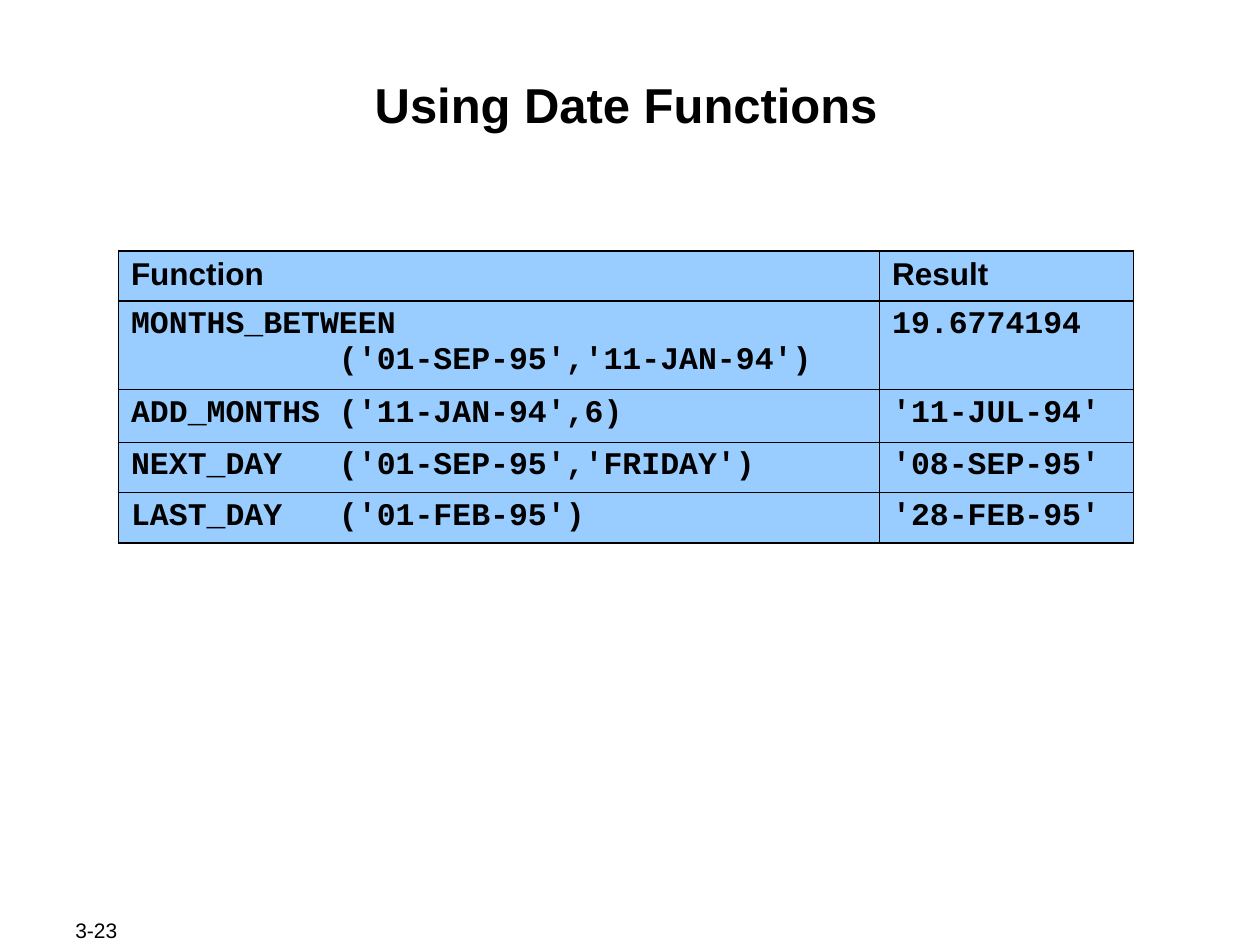
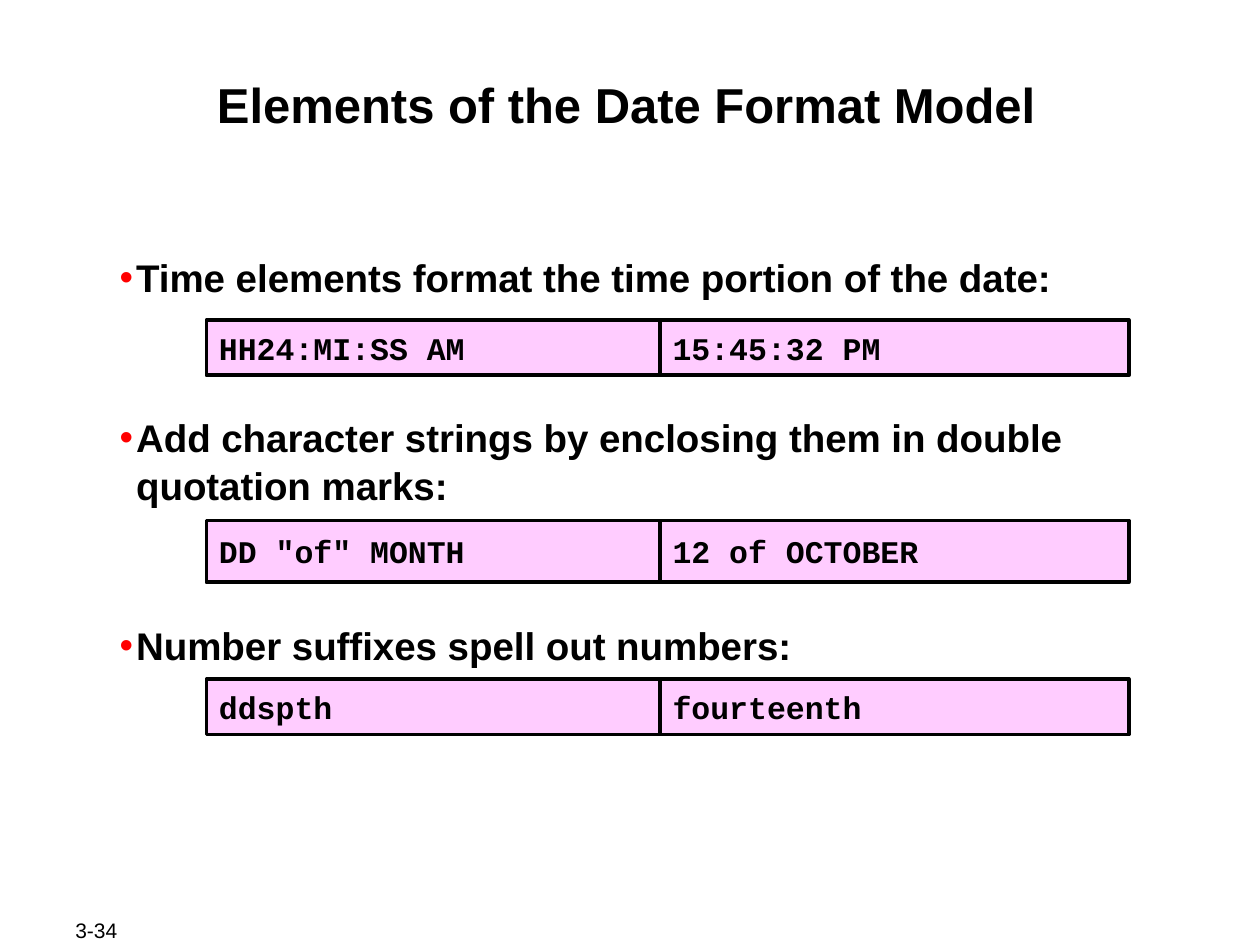
from dataclasses import dataclass
from lxml.etree import SubElement as Sub
from pptx import Presentation
from pptx.dml.color import RGBColor as Rgb
from pptx.enum.shapes import MSO_SHAPE as Shape
from pptx.enum.text import MSO_ANCHOR as Anchor, MSO_AUTO_SIZE as Fit, PP_ALIGN as Align
from pptx.oxml.ns import qn
from pptx.util import Pt


@dataclass(frozen=True)
class Theme:
    ink: str = "000000"
    paper: str = "FFFFFF"
    blue: str = "99CCFF"
    pink: str = "FFCCFF"
    red: str = "FF0000"
    sans: str = "Arial"
    mono: str = "Courier New"
    title: float = 28
    body: float = 22
    code: float = 18
    foot: float = 12
    thin: float = 0.45
    thick: float = 1.08
    edge: float = 2.25


LOOK = Theme()
ARGS = 118.8
MARGIN = 67.7


def paint(part, color):
    part.fill.solid()
    part.fill.fore_color.rgb = Rgb.from_string(color)


def write(frame, text, size=LOOK.code, font=LOOK.sans, bold=True,
          align=Align.LEFT, before=0, gap=0, lead=None, inset=None,
          anchor=None, wrap=True):
    frame.word_wrap = wrap
    if anchor is not None:
        frame.vertical_anchor = anchor
    if inset is not None:
        frame.margin_left = frame.margin_right = Pt(inset)
        frame.margin_top = frame.margin_bottom = Pt(inset)
    for i, line in enumerate(text.split("\n")):
        para = frame.paragraphs[0] if i == 0 else frame.add_paragraph()
        para.alignment = align
        para.space_before = Pt(gap if i else before)
        para.space_after = Pt(0)
        para.line_spacing = lead
        run = para.add_run()
        run.text = line
        face = run.font
        face.name, face.size, face.bold = font, Pt(size), bold
        face.color.rgb = Rgb.from_string(LOOK.ink)
    return frame.paragraphs


def indent(para, left, first=0):
    props = para._p.get_or_add_pPr()
    props.set("marL", str(Pt(left)))
    props.set("indent", str(Pt(first)))
    return props


def bullet(para):
    props = indent(para, 9.4, -9.4)
    color = Sub(props, qn("a:buClr"))
    Sub(color, qn("a:srgbClr"), val=LOOK.red)
    Sub(props, qn("a:buFont"), typeface=LOOK.sans)
    Sub(props, qn("a:buChar"), char="•")


def tab(para, at):
    stops = Sub(para._p.get_or_add_pPr(), qn("a:tabLst"))
    Sub(stops, qn("a:tab"), pos=str(Pt(at)), algn="l")


def border(cell, **widths):
    props = cell._tc.get_or_add_tcPr()
    for side in "LRTB":
        line = Sub(props, qn(f"a:ln{side}"), w=str(Pt(widths[side])))
        fill = Sub(line, qn("a:solidFill"))
        Sub(fill, qn("a:srgbClr"), val=LOOK.ink)


def page(deck, title, number):
    slide = deck.slides.add_slide(deck.slide_layouts[5])
    paint(slide.background, LOOK.paper)
    head = slide.shapes.title
    head.left, head.top, head.width, head.height = map(Pt, (69.8, 41.8, 576, 69))
    write(head.text_frame, title, size=LOOK.title, align=Align.CENTER,
          before=3.4, inset=0.7, anchor=Anchor.TOP)
    head.text_frame.auto_size = Fit.NONE
    foot = slide.shapes.add_textbox(Pt(36), Pt(524.2), Pt(76.3), Pt(14.4))
    write(foot.text_frame, number, size=LOOK.foot, bold=False,
          anchor=Anchor.MIDDLE, wrap=False)
    return slide


def grid(slide, rows, cols, highs):
    table = slide.shapes.add_table(
        len(rows), len(cols), Pt(MARGIN), Pt(143.3),
        Pt(sum(cols)), Pt(sum(highs))).table
    table.first_row = table.horz_banding = False
    for col, wide in zip(table.columns, cols):
        col.width = Pt(wide)
    for row, high in zip(table.rows, highs):
        row.height = Pt(high)
    last, end = len(rows) - 1, len(cols) - 1
    for r, row in enumerate(rows):
        for c, text in enumerate(row):
            cell = table.cell(r, c)
            heavy = {"L": c == 0, "R": c == end, "T": r < 2, "B": r in (0, last)}
            border(cell, **{side: LOOK.thick if on else LOOK.thin
                            for side, on in heavy.items()})
            paint(cell, LOOK.blue)
            paras = write(cell.text_frame, text,
                          font=LOOK.mono if r else LOOK.sans)
            for para in paras[1:]:
                indent(para, ARGS)
            if "\t" in text:
                tab(paras[0], ARGS)
    return table


def points(slide, text):
    box = slide.shapes.add_textbox(Pt(MARGIN), Pt(143.3), Pt(580.3), Pt(235.4))
    paras = write(box.text_frame, text, size=LOOK.body, before=2.4,
                  gap=64, lead=1.04, inset=0.7)
    for para in paras:
        bullet(para)


def pair(slide, top, high, texts):
    for i, text in enumerate(texts):
        box = slide.shapes.add_shape(
            Shape.RECTANGLE, Pt(118 + 259.2 * i), Pt(top), Pt(267.8), Pt(high))
        box.shadow.inherit = False
        paint(box, LOOK.pink)
        box.line.color.rgb = Rgb.from_string(LOOK.ink)
        box.line.width = Pt(LOOK.edge)
        write(box.text_frame, text, font=LOOK.mono, before=2,
              anchor=Anchor.MIDDLE)


def main():
    deck = Presentation()
    deck.slide_width, deck.slide_height = Pt(720), Pt(540)

    dates = page(deck, "Using Date Functions", "3-23")
    grid(dates, [
        ("Function", "Result"),
        ("MONTHS_BETWEEN\n('01-SEP-95','11-JAN-94')", "19.6774194"),
        ("ADD_MONTHS ('11-JAN-94',6)", "'11-JUL-94'"),
        ("NEXT_DAY\t('01-SEP-95','FRIDAY')", "'08-SEP-95'"),
        ("LAST_DAY\t('01-FEB-95')", "'28-FEB-95'"),
    ], cols=(434.9, 145.1), highs=(28.6, 50.4, 30.2, 27.8, 27.8))

    model = page(deck, "Elements of the Date Format Model", "3-34")
    points(model, "Time elements format the time portion of the date:\n"
           "Add character strings by enclosing them in double quotation marks:\n"
           "Number suffixes spell out numbers:")
    pair(model, 182.9, 31.7, ("HH24:MI:SS AM", "15:45:32 PM"))
    pair(model, 297.4, 35.3, ('DD "of" MONTH', "12 of OCTOBER"))
    pair(model, 388.1, 31.7, ("ddspth", "fourteenth"))

    deck.save("out.pptx")


if __name__ == "__main__":
    main()
